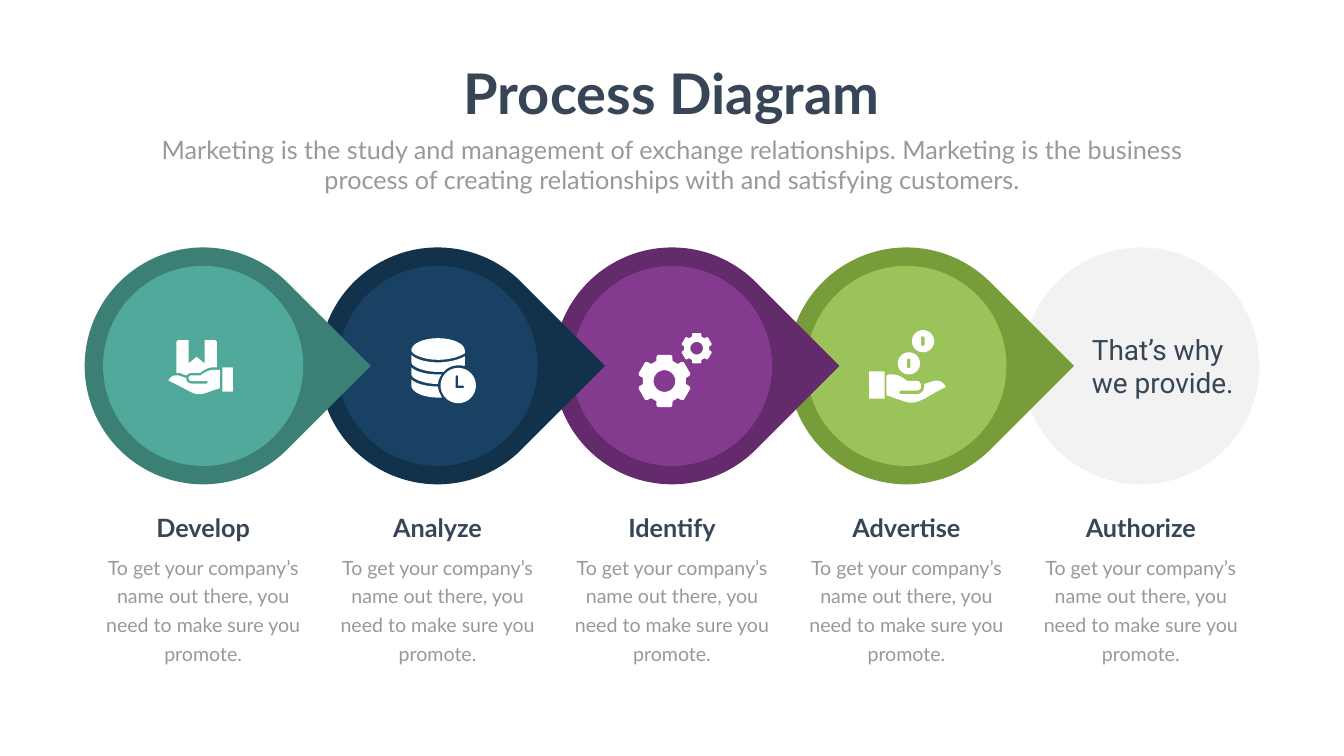
from math import cos, pi, radians, sin

from lxml import etree
from pptx import Presentation, util as u
from pptx.dml.color import RGBColor
from pptx.enum import shapes, text
from pptx.oxml.ns import qn

EMU_PER_PX = 9144
INK, GREY, WHITE = "374556", "999999", "FFFFFF"
CAPTION = "To get your company’s name out there, you need to make sure you promote."
INTRO = ("Marketing is the study and management of exchange relationships. "
         "Marketing is the business process of creating relationships with and satisfying customers.")
STEPS = [
    ("Develop", "3C7F74", "50A99B"),
    ("Analyze", "12314A", "184163"),
    ("Identify", "632B6B", "843A8E"),
    ("Advertise", "769D39", "9AC35A"),
    ("Authorize", None, None),
]
FIRST_CENTER, STEP_GAP, CENTER_Y = 403, 465, 726
DROP, DISC = 470, 397


def curve(start, control_1, control_2, end, count=8):
    for i in range(1, count + 1):
        t = i / count
        weights = ((1 - t) ** 3, 3 * t * (1 - t) ** 2, 3 * t * t * (1 - t), t ** 3)
        corners = (start, control_1, control_2, end)
        yield tuple(sum(w * c[axis] for w, c in zip(weights, corners)) for axis in (0, 1))


def outline(*moves):
    points = [moves[0]]
    for move in moves[1:]:
        if len(move) == 2:
            points.append(move)
        else:
            points.extend(curve(points[-1], move[:2], move[2:4], move[4:]))
    return points


def circle(x, y, radius, count=48):
    return [(x + radius * cos(2 * pi * i / count), y + radius * sin(2 * pi * i / count))
            for i in range(count)]


def gear(x, y, scale):
    tooth = [(-22, 43), (-18, 51), (-14, 53.5), (14, 53.5), (18, 51), (22, 43)]
    rim = [(x + scale * r * sin(radians(turn + a)), y - scale * r * cos(radians(turn + a)))
           for turn in range(0, 360, 60) for a, r in tooth]
    return [rim, circle(x, y, 21.5 * scale)]


def coin(x, y):
    slot = outline((x - 4, y - 6), (x - 4, y - 11, x + 3, y - 11, x + 3, y - 6),
                   (x + 3, y + 6), (x + 3, y + 11, x - 4, y + 11, x - 4, y + 6))
    return [circle(x, y, 22), slot]


def cuff(left, top, right, bottom):
    return [outline((left + 2, top), (right - 3, top), (right, top, right, top, right, top + 3),
                    (right, bottom - 2), (right, bottom, right, bottom, right - 3, bottom),
                    (left + 2, bottom), (left, bottom, left, bottom, left, bottom - 2),
                    (left, top + 3), (left, top, left, top, left + 2, top))]


PARCEL_IN_HAND = [
    cuff(441, 729, 462, 777),
    [outline((427, 675), (406, 675), (406, 721), (390, 708), (374, 721), (374, 675), (353, 675),
             (350, 678), (350, 740), (356, 740), (370, 745), (372, 742, 376, 740, 380, 740),
             (397, 740), (402, 736, 411, 729, 422, 729), (430, 729), (430, 678))],
    [outline((436, 734), (422, 734), (413, 734, 405, 740, 401, 742), (398, 745), (380, 745),
             (377, 745), (374, 748, 374, 749, 374, 750), (374, 753, 376, 756, 380, 756),
             (409, 756), (413, 756, 413, 761, 409, 761), (380, 761),
             (373, 761, 369, 756, 369, 750), (354, 745), (346, 744, 341, 745, 336, 752),
             (334, 754), (336, 756), (346, 761, 356, 766, 362, 769),
             (378, 778, 386, 782, 394, 782), (402, 782, 409, 780, 424, 774),
             (428, 773, 432, 772, 436, 770))],
]
DATABASE_CLOCK = [
    [outline((869, 714), (893, 714, 914, 707, 922, 701), (922, 695),
             (922, 682, 898, 671, 869, 671), (840, 671, 816, 682, 816, 695),
             (816, 703, 840, 714, 869, 714))],
    [outline((869, 738), (880, 738), (886, 730, 897, 725, 909, 725),
             (913, 725, 917, 725, 920, 726), (922, 725), (922, 707),
             (910, 714, 889, 719, 869, 719), (848, 719, 825, 714, 816, 704), (816, 719),
             (816, 727, 840, 738, 869, 738))],
    [outline((869, 762), (869, 755, 872, 749, 876, 743), (869, 743),
             (848, 743, 825, 738, 816, 729), (816, 743), (816, 751, 840, 762, 869, 762))],
    [outline((869, 767), (848, 767, 825, 762, 816, 753), (816, 765),
             (816, 778, 840, 789, 869, 789), (877, 789), (873, 782, 869, 775, 869, 767))],
    [circle(909, 765, 35),
     outline((904, 770), (904, 747), (904, 744, 909, 744, 909, 747), (909, 765), (917, 765),
             (922, 765, 922, 770, 917, 770))],
]
COINS_IN_HAND = [
    cuff(1724, 737, 1755, 791),
    [outline((1874, 764), (1868, 756, 1861, 754, 1852, 756), (1833, 762), (1833, 766),
             (1833, 771, 1833, 774, 1830, 777), (1827, 780, 1823, 782, 1819, 782), (1787, 782),
             (1783, 782, 1783, 775, 1787, 775), (1819, 775), (1822, 775, 1823, 774, 1825, 772),
             (1827, 771, 1827, 769, 1827, 766), (1827, 762, 1825, 756, 1819, 756), (1800, 756),
             (1795, 753, 1785, 743, 1771, 743), (1762, 743), (1758, 746), (1758, 782),
             (1760, 785), (1771, 788, 1777, 791, 1784, 793),
             (1796, 798, 1803, 799, 1809, 799), (1817, 799, 1823, 796, 1836, 790),
             (1844, 785, 1857, 777, 1874, 769), (1876, 766))],
    coin(1831, 677),
    coin(1803, 721),
]
ICONS = [PARCEL_IN_HAND, DATABASE_CLOCK, [gear(1318, 756, 1), gear(1382, 691, 0.58)], COINS_IN_HAND]


def px(value):
    return round(value * EMU_PER_PX)


def color(hex_string):
    return RGBColor.from_string(hex_string)


def paint(shape, fill):
    shape.shadow.inherit = False
    shape.fill.solid()
    shape.fill.fore_color.rgb = color(fill)
    shape.line.fill.background()


def add_round(page, kind, center, size, fill):
    shape = page.shapes.add_shape(kind, px(center - size / 2), px(CENTER_Y - size / 2), px(size), px(size))
    paint(shape, fill)
    return shape


def add_icon(page, pieces):
    group = page.shapes.add_group_shape()
    for contours in pieces:
        builder = None
        for contour in contours:
            points = [(px(x), px(y)) for x, y in contour]
            if builder is None:
                builder = group.shapes.build_freeform(*points[0])
            else:
                builder.move_to(*points[0])
            builder.add_line_segments(points[1:], close=True)
        paint(builder.convert_to_shape(), WHITE)


def write(box, place, words, size, ink, bold=False, font="Lato",
          align=text.PP_ALIGN.CENTER, spacing=1.0, wrap=True):
    box.left, box.top, box.width, box.height = map(px, place)
    frame = box.text_frame
    frame.text = words
    frame.word_wrap = wrap
    frame.auto_size = text.MSO_AUTO_SIZE.NONE
    frame.vertical_anchor = text.MSO_ANCHOR.TOP
    para = frame.paragraphs[0]
    para.alignment = align
    para.line_spacing = spacing
    para.space_before = u.Pt(0)
    para.font.name, para.font.size, para.font.bold = font, u.Pt(size), bold
    para.font.color.rgb = color(ink)


def add_text(page, *args, **options):
    write(page.shapes.add_textbox(0, 0, 0, 0), *args, **options)


def main():
    deck = Presentation()
    deck.slide_width, deck.slide_height = px(2666), px(1500)
    page = deck.slides.add_slide(deck.slide_layouts[0])
    page.background.fill.solid()
    page.background.fill.fore_color.rgb = color("FEFFFE")
    write(page.shapes.title, (901, 112, 863, 145), "Process Diagram", 80, INK, bold=True, wrap=False)
    write(page.placeholders[1], (292, 261, 2082, 131), INTRO, 36, GREY)

    centers = [FIRST_CENTER + STEP_GAP * i for i in range(len(STEPS))]
    for center, (_, rim, face) in reversed(list(zip(centers, STEPS))):
        if rim:
            add_round(page, shapes.MSO_SHAPE.TEAR, center, DROP, rim).rotation = 45
            add_round(page, shapes.MSO_SHAPE.OVAL, center, DISC, face)
        else:
            disc = add_round(page, shapes.MSO_SHAPE.OVAL, center, DROP, "808080")
            tint = disc.fill._xPr.find(qn("a:solidFill"))[0]
            etree.SubElement(tint, qn("a:alpha"), val="10000")

    for center, (name, _, _) in zip(centers, STEPS):
        add_text(page, (center - 130, 1012, 260, 71), name, 36, INK, bold=True)
        add_text(page, (center - 213, 1088, 426, 234), CAPTION, 28, GREY, spacing=u.Pt(40.8))
    add_text(page, (2156, 654, 329, 145), "That’s why we provide.", 40, INK,
             font="Roboto", align=text.PP_ALIGN.LEFT)
    for icon in ICONS:
        add_icon(page, icon)
    deck.save("out.pptx")


if __name__ == "__main__":
    main()
